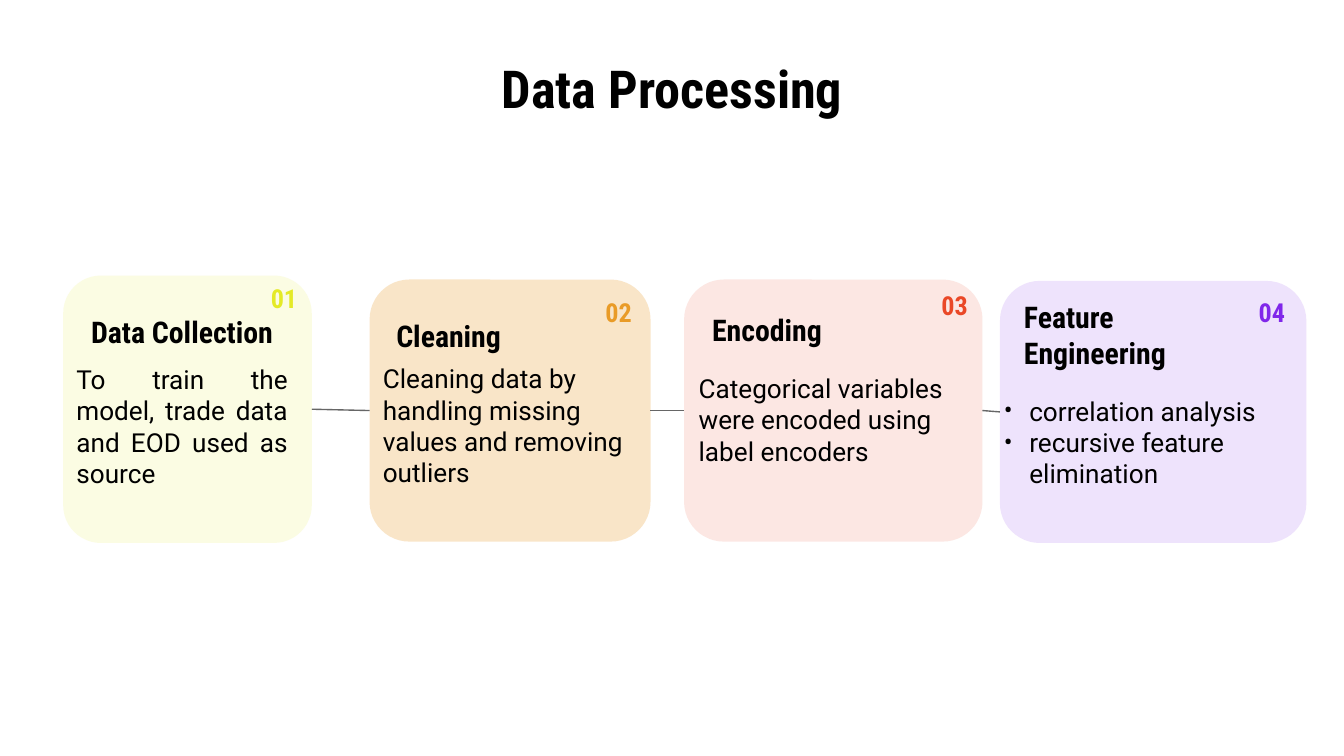
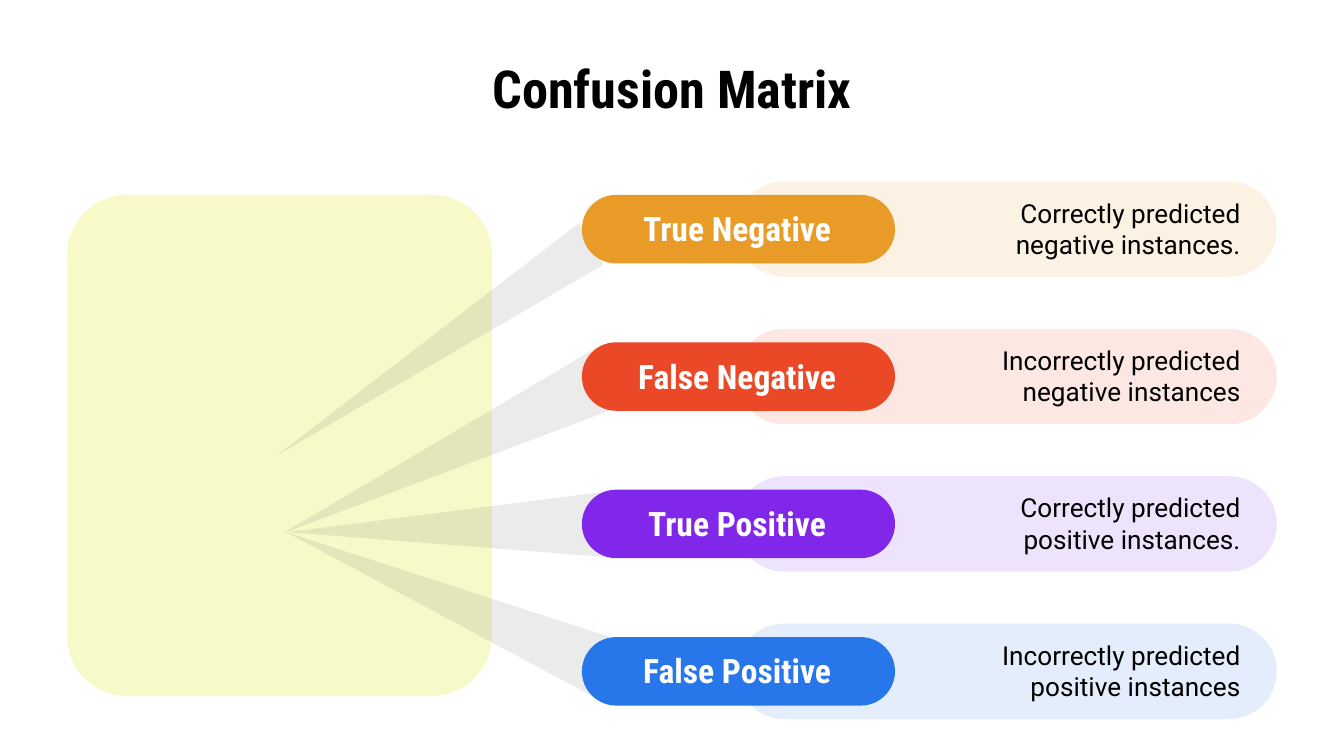
from itertools import pairwise

from lxml import etree
from pptx import Presentation
from pptx import util as u
from pptx.dml.color import RGBColor
from pptx.enum import shapes, text
from pptx.oxml.ns import qn

COLORS = {
    "black": "000000", "white": "FFFFFF", "gray": "666666", "yellow": "E4EA27",
    "orange": "E99B27", "red": "EA4827", "purple": "8027EA", "blue": "2776EA",
}
HEADING, BODY = "Roboto Condensed", "Roboto"
LEFT, CENTER, RIGHT, JUSTIFY = (
    text.PP_ALIGN.LEFT, text.PP_ALIGN.CENTER, text.PP_ALIGN.RIGHT, text.PP_ALIGN.JUSTIFY)


def rgb(color):
    return RGBColor.from_string(COLORS[color])


class SlideBuilder:
    def __init__(self):
        self.deck = Presentation()
        self.deck.slide_width = u.Inches(10)
        self.deck.slide_height = u.Inches(10) * 9 // 16
        self.page = None

    def new_page(self, title):
        self.page = self.deck.slides.add_slide(self.deck.slide_layouts[6])
        self.label((0.5, 0.45, 9, 0.41), title, 28, HEADING, align=CENTER)

    def paint(self, shape, color, opacity):
        """Fill a shape without outline or shadow; opacity is in percent."""
        shape.shadow.inherit = False
        shape.fill.solid()
        shape.fill.fore_color.rgb = rgb(color)
        shape.line.fill.background()
        if opacity < 100:
            tint = shape.element.spPr.find(qn("a:solidFill"))[0]
            etree.SubElement(tint, qn("a:alpha"), val=str(opacity * 1000))

    def rounded(self, place, color, opacity=100, radius=0.5):
        shape = self.page.shapes.add_shape(
            shapes.MSO_SHAPE.ROUNDED_RECTANGLE, *map(u.Inches, place))
        shape.adjustments[0] = radius
        self.paint(shape, color, opacity)
        return shape

    def wedge(self, *points):
        start, *others = [(u.Inches(x), u.Inches(y)) for x, y in points]
        outline = self.page.shapes.build_freeform(*start)
        outline.add_line_segments(others, close=True)
        self.paint(outline.convert_to_shape(), "gray", 13)

    def label(self, place, content, size, font=BODY, color="black", align=LEFT, bullets=False):
        """Add text; headings are bold, and each line of content is a paragraph."""
        box = self.page.shapes.add_textbox(*map(u.Inches, place))
        frame = box.text_frame
        frame.word_wrap = True
        frame.vertical_anchor = text.MSO_ANCHOR.MIDDLE
        frame.margin_left = frame.margin_right = u.Inches(0.1)
        frame.margin_top = frame.margin_bottom = u.Inches(0.1)
        frame.text = content
        for para in frame.paragraphs:
            para.alignment = align
            if bullets:
                self.bullet(para)
            for span in para.runs:
                span.font.size = u.Pt(size)
                span.font.name = font
                span.font.bold = font == HEADING
                span.font.color.rgb = rgb(color)

    def bullet(self, para):
        settings = para._p.get_or_add_pPr()
        indent = u.Inches(0.19)
        settings.set("marL", str(indent))
        settings.set("indent", str(-indent))
        tint = etree.SubElement(settings, qn("a:buClr"))
        etree.SubElement(tint, qn("a:srgbClr"), val=COLORS["black"])
        etree.SubElement(settings, qn("a:buFont"), typeface=BODY)
        etree.SubElement(settings, qn("a:buChar"), char="•")

    def link(self, first, second):
        """Join the right side of one card to the left side of the next."""
        line = self.page.shapes.add_connector(shapes.MSO_CONNECTOR.STRAIGHT, 0, 0, 0, 0)
        line.begin_connect(first, 3)
        line.end_connect(second, 1)
        line.line.color.rgb = rgb("gray")
        line.line.width = u.Pt(0.75)
        etree.SubElement(line.element.spPr, qn("a:effectLst"))


def data_processing(builder):
    builder.new_page("Data Processing")
    # color, opacity, card; heading and its place; body, its place and format; number place
    steps = [
        ("yellow", 13, (0.47, 2.05, 1.85, 1.99),
         "Data Collection", (0.58, 2.08, 1.85, 0.78),
         "To train the model, trade data and EOD used as source",
         (0.47, 2.75, 1.77, 0.84), {"align": JUSTIFY}, (1.83, 1.98)),
        ("orange", 25, (2.75, 2.08, 2.09, 1.95),
         "Cleaning", (2.85, 2.11, 1.89, 0.78),
         "Cleaning data by handling missing values and removing outliers",
         (2.75, 2.79, 2.09, 0.75), {}, (4.32, 2.08)),
        ("red", 13, (5.09, 2.08, 2.22, 1.95),
         "Encoding", (5.2, 2.05, 1.89, 0.8),
         "Categorical variables were encoded using label encoders",
         (5.1, 2.72, 2.2, 0.8), {}, (6.82, 2.03)),
        ("purple", 13, (7.44, 2.09, 2.28, 1.95),
         "Feature Engineering", (7.52, 2.09, 1.89, 0.8),
         "correlation analysis\nrecursive feature elimination",
         (7.37, 2.89, 2.28, 0.8), {"bullets": True}, (9.18, 2.08)),
    ]
    cards = []
    for number, step in enumerate(steps, 1):
        color, opacity, card, heading, heading_place, body, body_place, style, corner = step
        cards.append(builder.rounded(card, color, opacity, 0.152))
        builder.label(heading_place, heading, 16, HEADING)
        builder.label(body_place, body, 14, **style)
        builder.label((*corner, 0.48, 0.48), f"{number:02}", 14, HEADING, color, RIGHT)
    for first, second in pairwise(cards):
        builder.link(first, second)


def confusion_matrix(builder):
    builder.new_page("Confusion Matrix")
    builder.rounded((0.5, 1.45, 3.16, 3.73), "yellow", 25, 0.141)
    outcomes = [
        ("True Negative", "Correctly predicted negative instances.", "orange",
         [(2.06, 3.39), (4.31, 1.66), (4.49, 1.97)]),
        ("False Negative", "Incorrectly predicted negative instances", "red",
         [(2.1, 3.97), (4.45, 2.58), (4.55, 3.05)]),
        ("True Positive", "Correctly predicted positive instances.", "purple",
         [(2.14, 3.96), (4.57, 3.65), (4.57, 4.15)]),
        ("False Positive", "Incorrectly predicted positive instances", "blue",
         [(2.13, 3.96), (4.57, 4.75), (4.52, 5.24)]),
    ]
    first_top, last_top = 1.35, 4.64
    pitch = (last_top - first_top) / (len(outcomes) - 1)
    for row, (name, meaning, color, ray) in enumerate(outcomes):
        top = first_top + row * pitch
        builder.wedge(*ray)
        builder.rounded((5.48, top, 4.02, 0.71), color, 13)
        builder.rounded((4.33, top + 0.1, 2.33, 0.51), color)
        builder.label((7.16, top + 0.17, 2.17, 0.36), meaning, 14, align=RIGHT)
        builder.label((4.51, top + 0.17, 1.95, 0.36), name, 18, HEADING, "white", CENTER)


def main():
    builder = SlideBuilder()
    data_processing(builder)
    confusion_matrix(builder)
    builder.deck.save("out.pptx")


if __name__ == "__main__":
    main()
